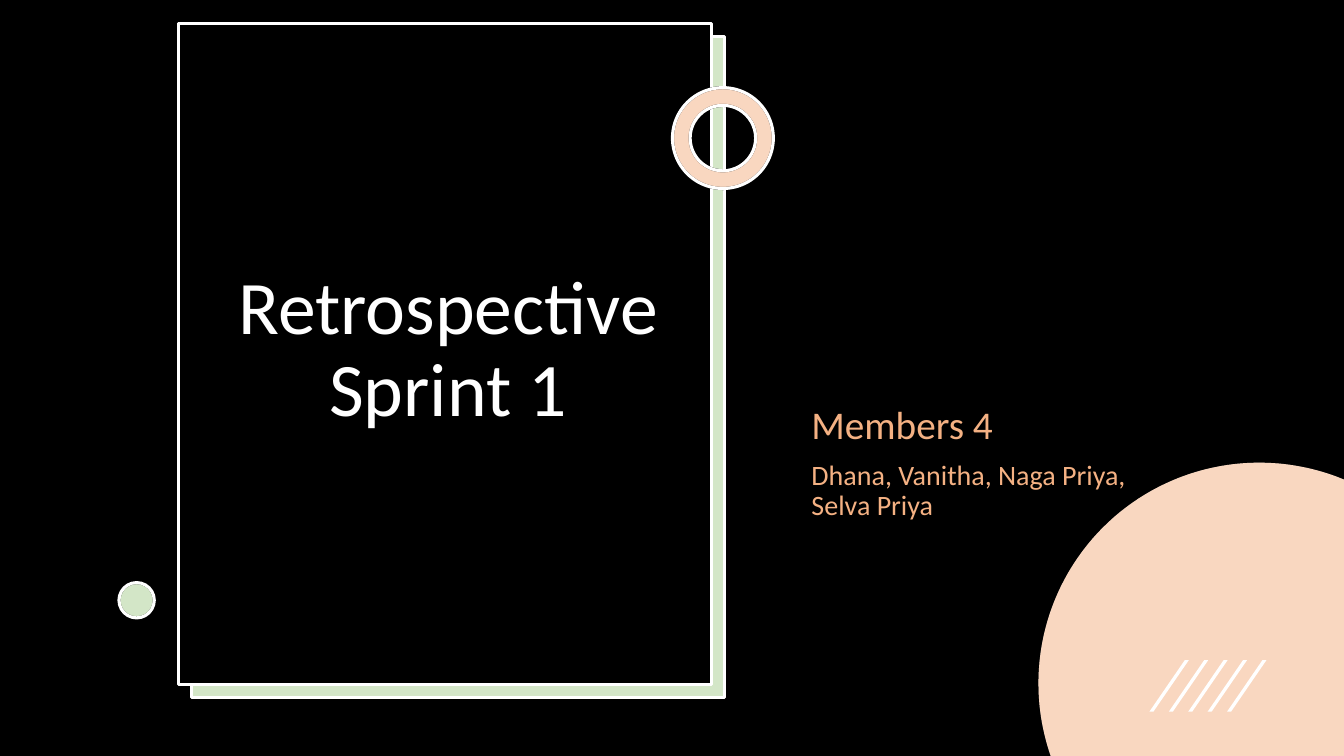
import math

import pptx
import pptx.dml.color
import pptx.enum.shapes
import pptx.enum.text
import pptx.oxml
import pptx.oxml.ns
import pptx.util
from dataclasses import dataclass

Inches = pptx.util.Inches
Pt = pptx.util.Pt
Kind = pptx.enum.shapes.MSO_SHAPE
Align = pptx.enum.text.PP_ALIGN
Anchor = pptx.enum.text.MSO_ANCHOR


@dataclass(frozen=True)
class Theme:
    black: str = "000000"
    white: str = "FFFFFF"
    green: str = "70AD47"
    orange: str = "ED7D31"
    peach: str = "F4B183"
    tint: int = 30
    font: str = "Calibri"
    title: int = 54
    head: int = 28
    body: int = 20
    line: float = 2.25


THEME = Theme()
WIDE, HIGH = 13.33, 7.5


def rgb(code):
    return pptx.dml.color.RGBColor.from_string(code)


def paint(shape, fill, line=None, alpha=None):
    """Fill and outline a shape; alpha is the opacity of the fill in percent."""
    shape.shadow.inherit = False
    shape.fill.solid()
    shape.fill.fore_color.rgb = rgb(fill)
    if alpha:
        qn = pptx.oxml.ns.qn
        color = shape.element.spPr.find(qn("a:solidFill"))[0]
        node = pptx.oxml.parse_xml(f'<a:alpha {pptx.oxml.ns.nsdecls("a")} val="{alpha * 1000}"/>')
        color.append(node)
    if line:
        shape.line.color.rgb = rgb(line)
        shape.line.width = Pt(THEME.line)
    else:
        shape.line.fill.background()


def preset(slide, kind, box):
    return slide.shapes.add_shape(kind, *map(Inches, box))


def outline(slide, points):
    first, *rest = [(Inches(x), Inches(y)) for x, y in points]
    pen = slide.shapes.build_freeform(*first)
    pen.add_line_segments(rest, close=True)
    return pen.convert_to_shape()


def tinted(make, color, lined=True):
    """Lay a see-through colour over a white base of the same form."""
    paint(make(), THEME.white, THEME.black if lined else None)
    paint(make(), color, THEME.white if lined else None, THEME.tint)


def write(slide, box, lines, color, align, anchor):
    """Add a text box; lines holds (text, size, space before)."""
    frame = slide.shapes.add_textbox(*map(Inches, box)).text_frame
    frame.word_wrap = True
    frame.vertical_anchor = anchor
    for i, (text, size, gap) in enumerate(lines):
        para = frame.add_paragraph() if i else frame.paragraphs[0]
        para.text = text
        para.alignment = align
        para.line_spacing = 0.9
        para.space_before = Pt(gap)
        para.font.name = THEME.font
        para.font.size = Pt(size)
        para.font.color.rgb = rgb(color)


def card(slide, box):
    """Title card with a green card showing behind it."""
    x, y, w, h = box
    shift = 0.13
    back = (x + shift, y + shift, w, h)
    tinted(lambda: preset(slide, Kind.RECTANGLE, back), THEME.green)
    paint(preset(slide, Kind.RECTANGLE, box), THEME.black, THEME.white)
    write(slide, (x + 0.45, y + 0.33, w - 0.84, h - 0.72),
          [("Retrospective Sprint 1", THEME.title, 0)],
          THEME.white, Align.CENTER, Anchor.MIDDLE)


def disc(slide, x, y, r):
    """Large circle cut off by the right and bottom slide edges."""
    start = math.acos((WIDE - x) / r)
    end = math.pi + math.asin((HIGH - y) / r)
    steps = 90
    turns = [start + (end - start) * i / steps for i in range(steps + 1)]
    points = [(x + r * math.cos(t), y - r * math.sin(t)) for t in turns]
    points.append((WIDE, HIGH))
    tinted(lambda: outline(slide, points), THEME.orange, lined=False)


def ring(slide, box):
    def make():
        shape = preset(slide, Kind.DONUT, box)
        shape.adjustments[0] = 0.175
        return shape
    tinted(make, THEME.orange)


def stripes(slide, box, count=5):
    x, y, w, h = box
    thick, lean = 0.04, 0.35
    step = (w - thick - lean) / (count - 1)
    for i in range(count):
        left = x + i * step
        bar = outline(slide, [(left + thick, y + h), (left, y + h),
                              (left + lean, y), (left + lean + thick, y)])
        paint(bar, THEME.white)


def cover(slide):
    paint(preset(slide, Kind.RECTANGLE, (0, 0, WIDE, HIGH)), THEME.black)
    card(slide, (1.77, 0.23, 5.29, 6.56))
    disc(slide, 12.49, 6.78, 2.19)
    write(slide, (7.95, 3.97, 3.65, 2.58),
          [("Members 4", THEME.head, 10),
           ("Dhana, Vanitha, Naga Priya, Selva Priya", THEME.body, 10)],
          THEME.peach, Align.LEFT, Anchor.TOP)
    ring(slide, (6.67, 0.87, 1, 1))
    tinted(lambda: preset(slide, Kind.OVAL, (1.18, 5.78, 0.35, 0.35)), THEME.green)
    stripes(slide, (11.4, 6.55, 1.16, 0.51))


def main():
    deck = pptx.Presentation()
    deck.slide_width = Inches(WIDE)
    deck.slide_height = Inches(HIGH)
    cover(deck.slides.add_slide(deck.slide_layouts[6]))
    deck.save("out.pptx")


if __name__ == "__main__":
    main()
